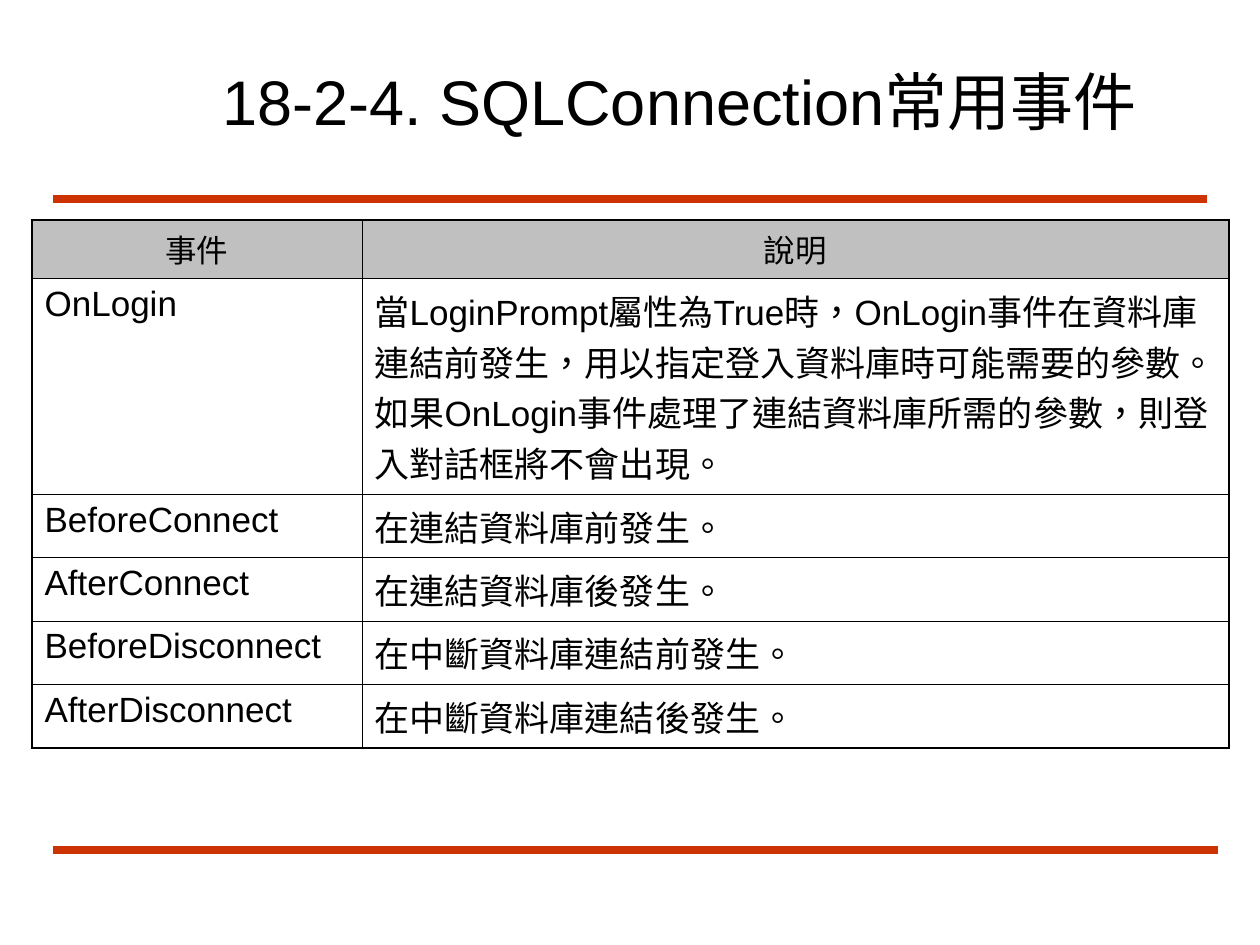
from lxml import etree
from pptx import Presentation, util as u
from pptx.dml.color import RGBColor
from pptx.enum import shapes, text
from pptx.oxml.ns import qn

TITLE = "18-2-4. SQLConnection常用事件"
ROWS = [
    ("事件", "說明"),
    ("OnLogin", "當LoginPrompt屬性為True時，OnLogin事件在資料庫連結前發生，"
                "用以指定登入資料庫時可能需要的參數。如果OnLogin事件處理了"
                "連結資料庫所需的參數，則登入對話框將不會出現。"),
    ("BeforeConnect", "在連結資料庫前發生。"),
    ("AfterConnect", "在連結資料庫後發生。"),
    ("BeforeDisconnect", "在中斷資料庫連結前發生。"),
    ("AfterDisconnect", "在中斷資料庫連結後發生。"),
]
COLUMN_WIDTHS = [330, 867]
ROW_HEIGHTS = [50, 181, 55, 55, 55, 55]
RULES = [(53, 1207, 199), (53, 1218, 850)]

FONT = "Arial"
BLACK = RGBColor(0, 0, 0)
HEADER_GRAY = RGBColor(0xC0, 0xC0, 0xC0)
RULE_RED = RGBColor(0xCC, 0x33, 0x00)
OUTER, INNER = u.Pt(1.08), u.Pt(0.45)


def px(length):
    return u.Emu(round(length * 914400 / 126))


def write(frame, content, size, align):
    frame.text = content
    para = frame.paragraphs[0]
    para.alignment = align
    para._p.get_or_add_pPr().set("hangingPunct", "0")
    for span in para.runs:
        span.font.name = FONT
        span.font.size = u.Pt(size)
        span.font.color.rgb = BLACK
        span._r.get_or_add_rPr().set("lang", "zh-TW")


def add_rule(page, left, right, y):
    rule = page.shapes.add_connector(
        shapes.MSO_CONNECTOR.STRAIGHT, px(left), px(y), px(right), px(y))
    rule.line.color.rgb = RULE_RED
    rule.line.width = u.Pt(4.5)
    etree.SubElement(rule._element.spPr, qn("a:effectLst"))


def set_borders(cell, outer_sides):
    properties = cell._tc.get_or_add_tcPr()
    for side in "LRTB":
        width = OUTER if side in outer_sides else INNER
        border = etree.SubElement(properties, qn("a:ln" + side), w=str(width))
        fill = etree.SubElement(border, qn("a:solidFill"))
        etree.SubElement(fill, qn("a:srgbClr"), val=str(BLACK))


def add_event_table(page):
    table = page.shapes.add_table(
        len(ROWS), len(COLUMN_WIDTHS), px(32), px(220),
        px(sum(COLUMN_WIDTHS)), px(sum(ROW_HEIGHTS))).table
    table.horz_banding = table.first_row = False
    for column, width in zip(table.columns, COLUMN_WIDTHS):
        column.width = px(width)
    for r, (row, height) in enumerate(zip(ROWS, ROW_HEIGHTS)):
        table.rows[r].height = px(height)
        for c, content in enumerate(row):
            cell = table.cell(r, c)
            header = r == 0
            sides = "L" if c == 0 else "R"
            if header:
                sides += "T"
            if r == len(ROWS) - 1:
                sides += "B"
            set_borders(cell, sides)
            if header:
                cell.fill.solid()
                cell.fill.fore_color.rgb = HEADER_GRAY
            else:
                cell.fill.background()
            write(cell.text_frame, content, 18 if header else 20,
                  text.PP_ALIGN.CENTER if header else text.PP_ALIGN.LEFT)


def main():
    deck = Presentation()
    deck.slide_width, deck.slide_height = px(1260), px(945)
    page = deck.slides.add_slide(deck.slide_layouts[5])
    for rule in RULES:
        add_rule(page, *rule)
    title = page.shapes.title
    title.left, title.top, title.width, title.height = map(px, (210, 42, 955, 116))
    write(title.text_frame, TITLE, 36, text.PP_ALIGN.LEFT)
    title.text_frame.auto_size = text.MSO_AUTO_SIZE.NONE
    title.text_frame.vertical_anchor = text.MSO_ANCHOR.MIDDLE
    add_event_table(page)
    deck.save("out.pptx")


if __name__ == "__main__":
    main()
